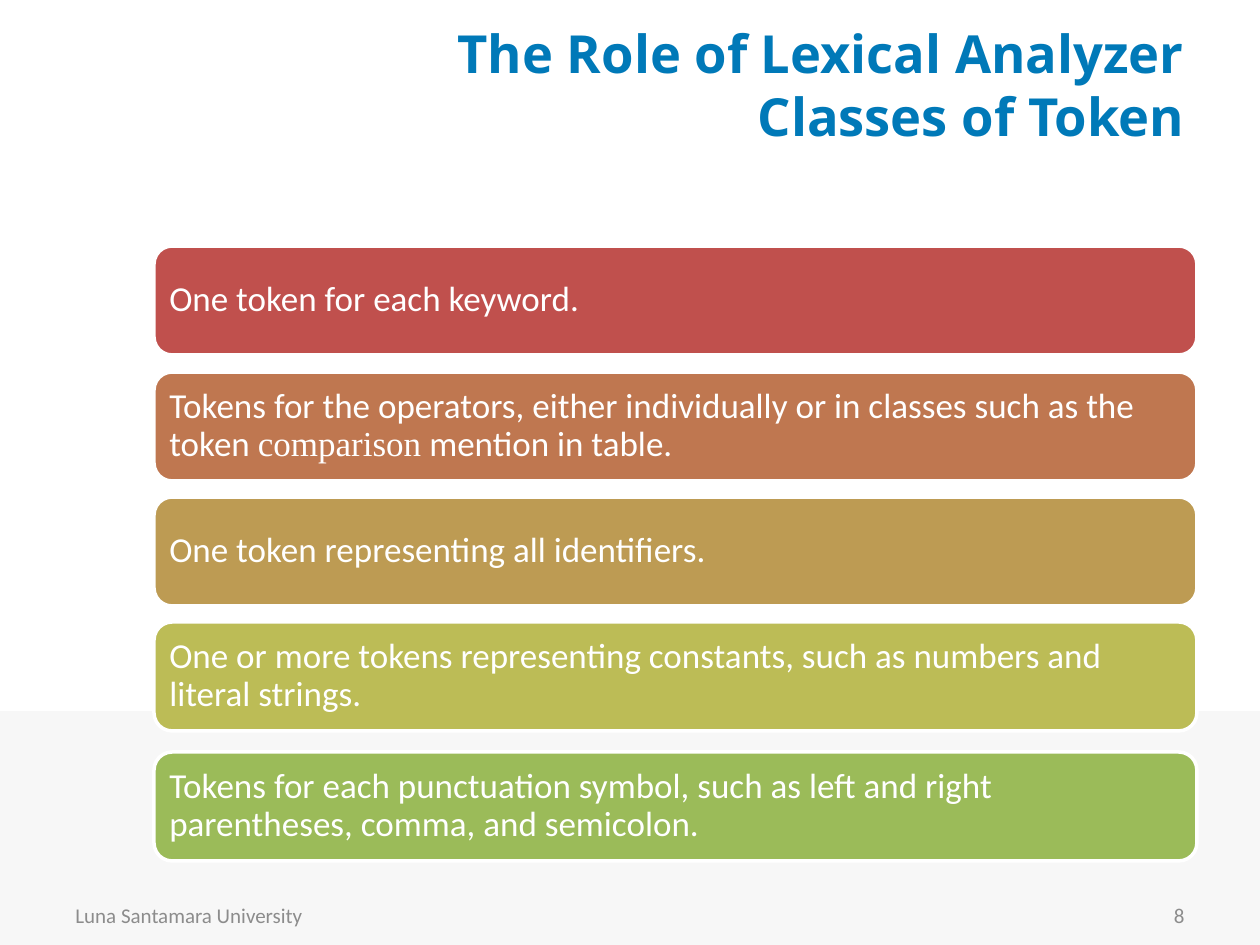
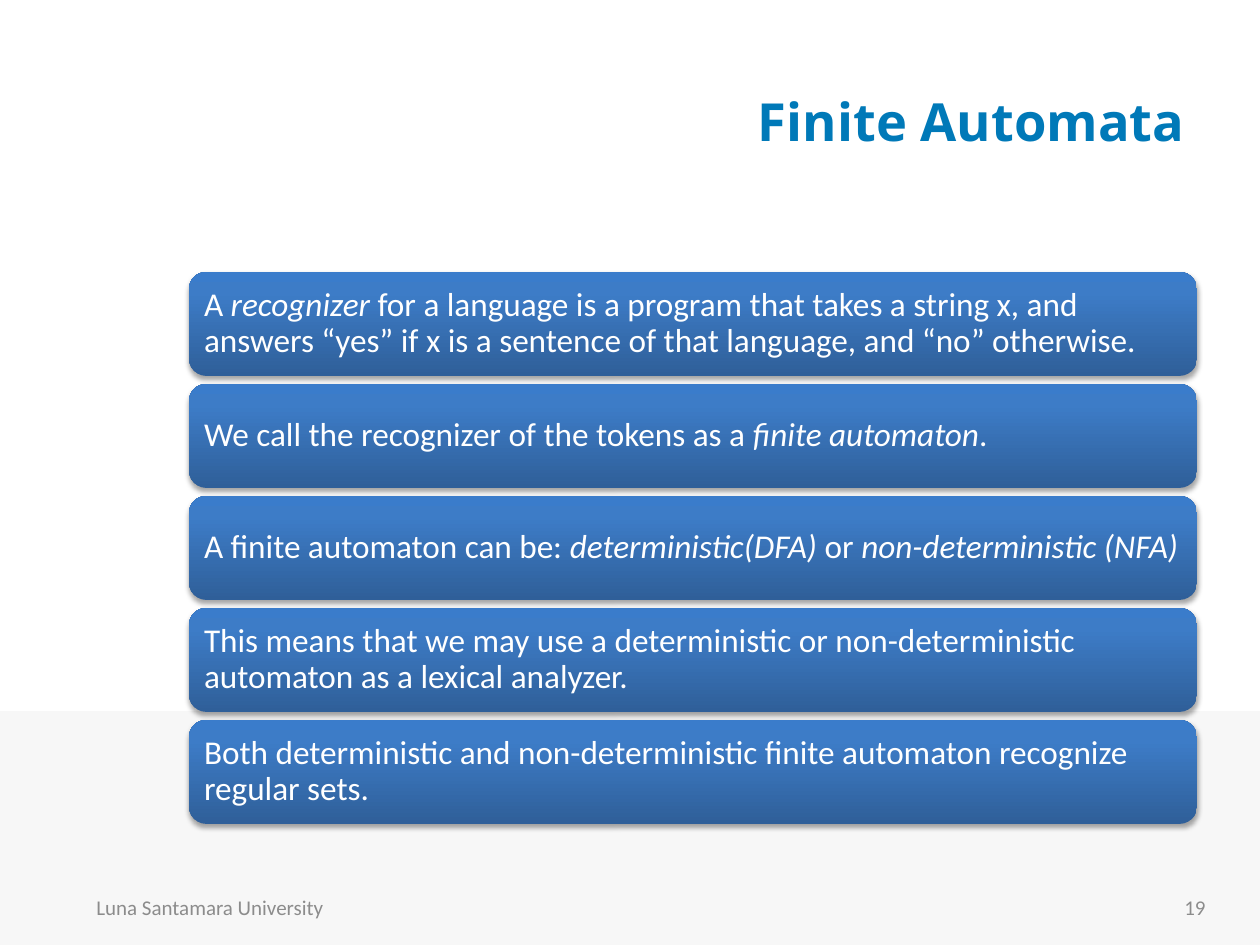
import copy

import pptx
import pptx.dml.color
import pptx.enum.shapes
import pptx.enum.text
import pptx.oxml
import pptx.oxml.ns
import pptx.util

PX = 914400 // 126
BLUE, GREY, BAND, WHITE, BLACK = "0079B8", "8C8C8C", "F7F7F7", "FFFFFF", "000000"
GRADIENT = [(0, "2F5F99"), (0.8, "3D7CC7"), (1, "3A7CCB")]
BODY, HEADING, SERIF = "Calibri", "Open Sans", "Times New Roman"
LEFT, RIGHT = pptx.enum.text.PP_ALIGN.LEFT, pptx.enum.text.PP_ALIGN.RIGHT
SHAPES = pptx.enum.shapes.MSO_SHAPE


def rgb(value):
    return pptx.dml.color.RGBColor.from_string(value)


class Deck:
    """Holds the shared style and the slide being built."""

    def __init__(self, width, height):
        self.prs = pptx.Presentation()
        self.width, self.height = width, height
        self.prs.slide_width, self.prs.slide_height = self.box(width, height)
        self.s = None

    def box(self, *lengths):
        """Turns px into EMU."""
        return [pptx.util.Emu(n * PX) for n in lengths]

    def slide(self):
        self.s = self.prs.slides.add_slide(self.prs.slide_layouts[6])
        band = self.shape(SHAPES.RECTANGLE, 0, 711, self.width, self.height - 711)
        band.fill.solid()
        band.fill.fore_color.rgb = rgb(BAND)

    def shape(self, kind, *at):
        sp = self.s.shapes.add_shape(kind, *self.box(*at))
        sp.shadow.inherit = False
        sp.line.fill.background()
        return sp

    def add_text(self, sp, paragraphs, size, color, font=BODY, align=LEFT, bold=False):
        """Fills a shape with paragraphs of runs; a run is text or (text, font changes)."""
        tf = sp.text_frame
        tf.word_wrap = True
        tf.vertical_anchor = pptx.enum.text.MSO_ANCHOR.MIDDLE
        for i, runs in enumerate(paragraphs):
            p = tf.paragraphs[0] if i == 0 else tf.add_paragraph()
            p.alignment = align
            for run in runs:
                text, changes = (run, {}) if isinstance(run, str) else run
                r = p.add_run()
                r.text = text
                r.font.size = pptx.util.Pt(size)
                r.font.color.rgb = rgb(color)
                r.font.name = changes.get("font", font)
                r.font.italic = changes.get("italic", False)
                r.font.bold = bold
        return tf

    def text(self, at, lines, size, color, **style):
        sp = self.s.shapes.add_textbox(*self.box(*at))
        self.add_text(sp, [[line] for line in lines], size, color, **style)

    def title(self, at, *lines):
        self.text(at, lines, 30, BLUE, font=HEADING, align=RIGHT, bold=True)

    def footer(self, left, top, number):
        self.text((left, top, 294, 50), ["Luna Santamara University"], 12, GREY)
        self.text((left + 840, top, 294, 50), [str(number)], 12, GREY, align=RIGHT)

    def card(self, at, runs, size):
        sp = self.shape(SHAPES.ROUNDED_RECTANGLE, *at)
        tf = self.add_text(sp, [runs], size, WHITE)
        tf.paragraphs[0].line_spacing = 0.9
        inset, = self.box(10)
        tf.margin_left = tf.margin_right = tf.margin_top = tf.margin_bottom = inset
        return sp

    def flat_card(self, at, runs, color):
        sp = self.card(at, runs, 20)
        sp.fill.solid()
        sp.fill.fore_color.rgb = rgb(color)
        sp.line.color.rgb = rgb(WHITE)
        sp.line.width = pptx.util.Pt(2)

    def raised_card(self, at, runs):
        """Adds a card with an upward gradient and a soft shadow below."""
        sp = self.card(at, runs, 19)
        sp.fill.gradient()
        sp.fill.gradient_angle = 90
        qn = pptx.oxml.ns.qn
        stops = sp._element.spPr.find(qn("a:gradFill")).find(qn("a:gsLst"))
        stops.append(copy.deepcopy(stops[0]))
        for stop, (position, color) in zip(sp.fill.gradient_stops, GRADIENT):
            stop.position = position
            stop.color.rgb = rgb(color)
        sp._element.spPr.find(qn("a:effectLst")).append(pptx.oxml.parse_xml(
            f'<a:outerShdw {pptx.oxml.ns.nsdecls("a")} blurRad="39370" dist="22860" '
            f'dir="5400000" rotWithShape="0"><a:srgbClr val="{BLACK}">'
            '<a:alpha val="35000"/></a:srgbClr></a:outerShdw>'))


def italic(text):
    return text, {"italic": True}


def token_classes(deck):
    deck.slide()
    cards = [
        (246, "C0504D", ["One token for each keyword."]),
        (372, "BF7750", ["Tokens for the operators, either individually or in classes "
                         "such as the token ", ("comparison", {"font": SERIF}),
                         " mention in table."]),
        (497, "BD9B53", ["One token representing all identifiers."]),
        (622, "BCBC56", ["One or more tokens representing constants, such as numbers "
                         "and literal strings."]),
        (752, "9BBB59", ["Tokens for each punctuation symbol, such as left and right "
                         "parentheses, comma, and semicolon."]),
    ]
    for top, color, runs in cards:
        deck.flat_card((154, top, 1043, 109), runs, color)
    deck.footer(63, 890, 8)
    deck.title((399, 26, 798, 116), "The Role of Lexical Analyzer", "Classes of Token")


def finite_automata(deck):
    deck.slide()
    deck.title((223, 42, 974, 157), "Finite Automata")
    cards = [
        ["A ", italic("recognizer"), " for a language is a program that takes a string x, "
         "and answers “yes” if x is a sentence of that language, and “no” otherwise."],
        ["We call the recognizer of the tokens as a ", italic("finite automaton"), "."],
        ["A finite automaton can be: ", italic("deterministic(DFA)"), " or ",
         italic("non-deterministic (NFA)")],
        ["This means that we may use a deterministic or non-deterministic automaton "
         "as a lexical analyzer."],
        ["Both deterministic and non-deterministic finite automaton recognize "
         "regular sets."],
    ]
    for i, runs in enumerate(cards):
        deck.raised_card((189, 272 + 112 * i, 1008, 104), runs)
    deck.footer(84, 882, 19)


def main():
    deck = Deck(1260, 945)
    token_classes(deck)
    finite_automata(deck)
    deck.prs.save("out.pptx")


if __name__ == "__main__":
    main()
